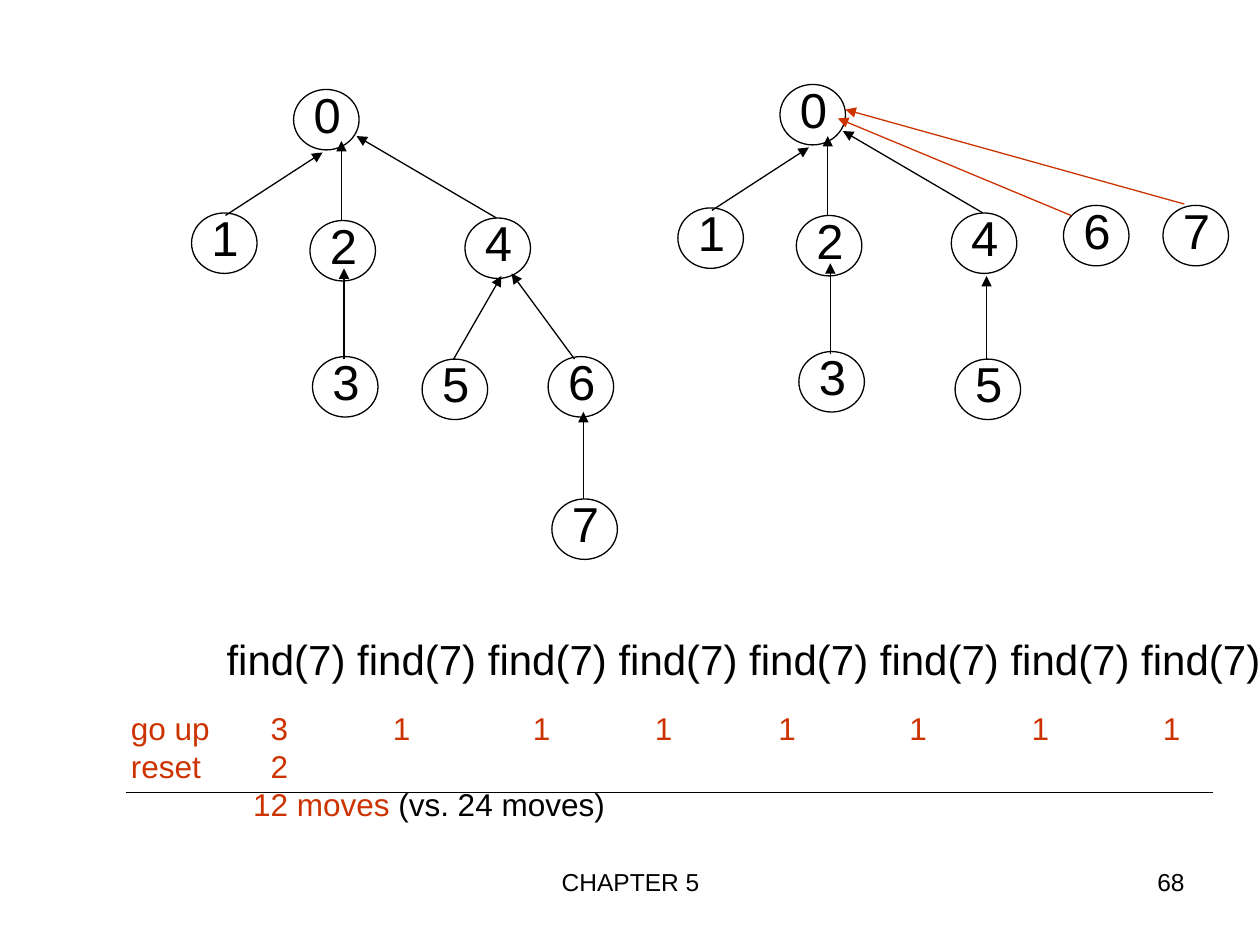
from dataclasses import dataclass

from lxml.etree import SubElement
from pptx import Presentation
from pptx.dml.color import RGBColor
from pptx.enum.shapes import MSO_CONNECTOR, MSO_SHAPE
from pptx.enum.text import PP_ALIGN
from pptx.oxml.ns import qn
from pptx.util import Inches, Pt


@dataclass(frozen=True)
class Theme:
    font: str = "Arial"
    ink: RGBColor = RGBColor(0x00, 0x00, 0x00)
    accent: RGBColor = RGBColor(0xCC, 0x33, 0x00)
    node_size: int = 28
    call_size: int = 24
    count_size: int = 18
    footer_size: int = 14
    line_width: float = 0.75


class TreeSlide:
    def __init__(self, slide, theme):
        self.slide = slide
        self.theme = theme

    def text(self, box, paragraphs, size, align=PP_ALIGN.LEFT, wrap=False, tabs=()):
        frame = self.slide.shapes.add_textbox(*map(Inches, box)).text_frame
        frame.word_wrap = wrap
        for index, runs in enumerate(paragraphs):
            paragraph = frame.add_paragraph() if index else frame.paragraphs[0]
            paragraph.alignment = align
            if tabs:
                stops = SubElement(paragraph._p.get_or_add_pPr(), qn("a:tabLst"))
                for stop in tabs[index]:
                    SubElement(stops, qn("a:tab"), pos=str(Inches(stop)), algn="l")
            for words, color in runs:
                run = paragraph.add_run()
                run.text = words
                style = {"name": self.theme.font, "size": Pt(size)}
                for attribute, value in style.items():
                    setattr(run.font, attribute, value)
                run.font.color.rgb = color

    def node(self, label, left, top):
        circle = self.slide.shapes.add_shape(
            MSO_SHAPE.OVAL, Inches(left), Inches(top), Inches(0.52), Inches(0.48))
        circle.shadow.inherit = False
        circle.fill.background()
        circle.line.color.rgb = self.theme.ink
        circle.line.width = Pt(self.theme.line_width)
        self.text((left + 0.06, top - 0.09, 0.41, 0.57), [[(label, self.theme.ink)]],
                  self.theme.node_size, PP_ALIGN.CENTER)

    def line(self, start, end, color, arrow=False):
        connector = self.slide.shapes.add_connector(
            MSO_CONNECTOR.STRAIGHT, *map(Inches, (*start, *end)))
        connector.line.color.rgb = color
        connector.line.width = Pt(self.theme.line_width)
        if arrow:
            SubElement(connector.line._get_or_add_ln(), qn("a:tailEnd"), type="triangle")
        SubElement(connector._element.spPr, qn("a:effectLst"))

    def tree(self, nodes, edges, dx=0, dy=0):
        for label, (left, top) in nodes.items():
            self.node(label, left + dx, top + dy)
        for x1, y1, x2, y2 in edges:
            self.line((x1 + dx, y1 + dy), (x2 + dx, y2 + dy), self.theme.ink, arrow=True)


SHARED_NODES = {"0": (2.33, 0.71), "1": (1.52, 1.69), "2": (2.46, 1.75),
                "4": (3.69, 1.73), "3": (2.48, 2.83)}
SHARED_EDGES = [(2.73, 2.85, 2.73, 2.13), (1.79, 1.71, 2.56, 1.21),
                (2.71, 1.75, 2.71, 1.12), (3.94, 1.73, 2.83, 1.08)]
BEFORE_NODES = {"5": (3.35, 2.85), "6": (4.35, 2.83), "7": (4.38, 3.96)}
BEFORE_EDGES = [(4.63, 3.96, 4.63, 3.27), (3.6, 2.85, 3.98, 2.19),
                (4.56, 2.85, 4.06, 2.17)]
AFTER_NODES = {"5": (7.58, 2.85), "6": (8.44, 1.63), "7": (9.23, 1.63)}
AFTER_EDGES = [(7.83, 2.85, 7.83, 2.19)]
COMPRESSED_EDGES = [((8.5, 1.71), (6.65, 0.94)), ((9.4, 1.62), (6.71, 0.87))]
COUNT_TABS = [1.11, 2.08, 3.19, 4.16, 5.14, 6.18, 7.15, 8.19]


def main():
    presentation = Presentation()
    presentation.slide_width = Inches(10)
    presentation.slide_height = Inches(7.5)
    theme = Theme()
    page = TreeSlide(presentation.slides.add_slide(presentation.slide_layouts[6]), theme)

    page.text((3.42, 6.83, 3.17, 0.52), [[("CHAPTER 5", theme.ink)]],
              theme.footer_size, PP_ALIGN.CENTER, wrap=True)
    page.text((7.17, 6.83, 2.33, 0.52), [[("68", theme.ink)]],
              theme.footer_size, PP_ALIGN.RIGHT, wrap=True)

    page.tree(SHARED_NODES, SHARED_EDGES)
    page.tree(BEFORE_NODES, BEFORE_EDGES)
    page.tree(SHARED_NODES, SHARED_EDGES, dx=3.86, dy=-0.04)
    page.tree(AFTER_NODES, AFTER_EDGES)
    for start, end in COMPRESSED_EDGES:
        page.line(start, end, theme.accent, arrow=True)

    calls = " ".join(["find(7)"] * 8)
    page.text((1.7, 4.98, 8.5, 0.5), [[(calls, theme.ink)]], theme.call_size, wrap=True)

    go_up = "\t".join(["go up", "3"] + ["1"] * 7)
    page.text((0.94, 5.58, 8.53, 1),
              [[(go_up, theme.accent)],
               [("reset\t2", theme.accent)],
               [("\t12 moves ", theme.accent), ("(vs. 24 moves)", theme.ink)]],
              theme.count_size, tabs=[COUNT_TABS, COUNT_TABS[:1], [0.97]])
    page.line((1, 6.29), (9.63, 6.29), theme.ink)

    presentation.save("out.pptx")


if __name__ == "__main__":
    main()
